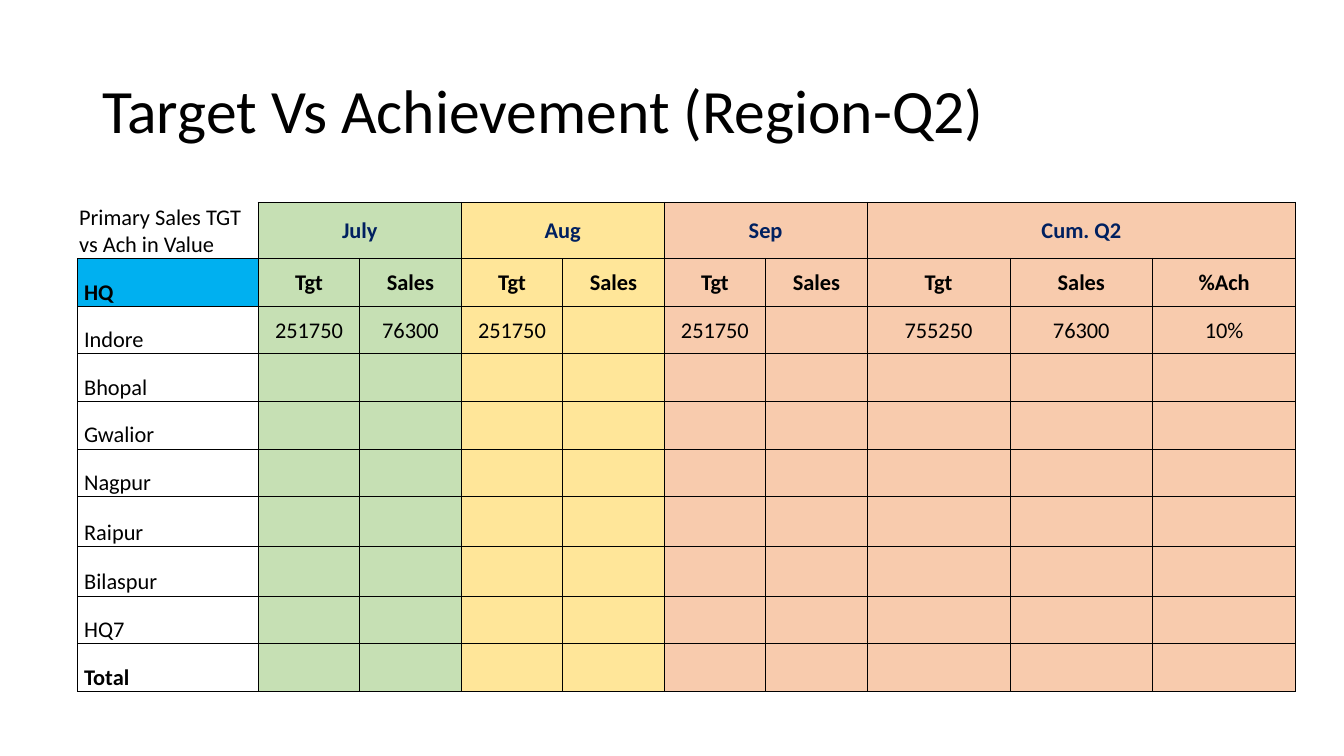
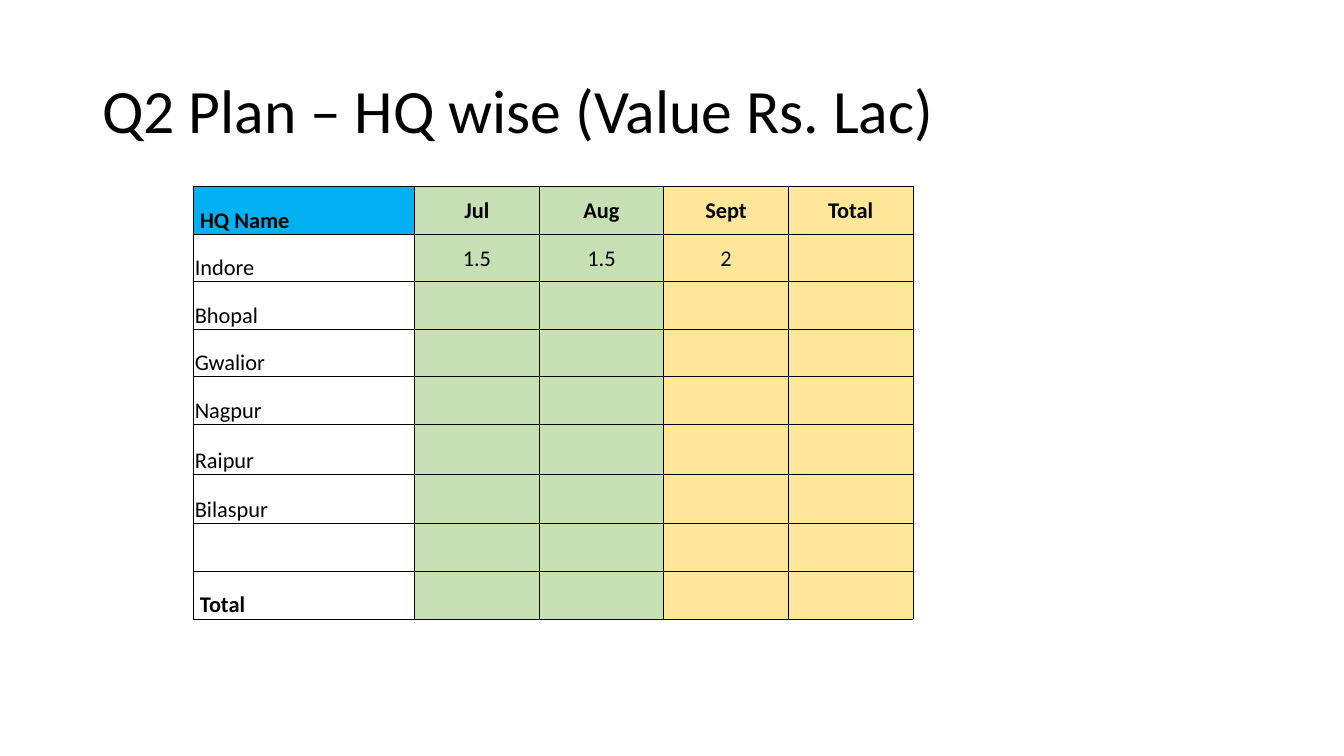
from collections import namedtuple
from dataclasses import dataclass

from lxml.etree import SubElement
from pptx import Presentation
from pptx.dml.color import RGBColor
from pptx.enum.text import MSO_ANCHOR, PP_ALIGN
from pptx.oxml.ns import qn
from pptx.util import Pt


@dataclass(frozen=True)
class Theme:
    font: str = "Calibri"
    title_size: float = 44
    table_size: float = 16
    black: str = "000000"
    navy: str = "002060"
    blue: str = "00B0F0"
    green: str = "C6E0B4"
    yellow: str = "FFE699"
    orange: str = "F8CBAD"
    thin: float = 0.5
    thick: float = 1
    flush: float = 1
    indent: float = 4.6
    row: float = 34
    tall_row: float = 35.5
    wrapped_row: float = 40


THEME = Theme()
Box = namedtuple("Box", "left top width height")
Period = namedtuple("Period", "name fill measures column_width rule_below")

TITLE_BOX = Box(66, 29, 828, 104)
CITIES = ["Indore", "Bhopal", "Gwalior", "Nagpur", "Raipur", "Bilaspur"]
TALL_CITIES = {"Raipur", "Bilaspur"}

PERIODS = [
    Period("July", THEME.green, ["Tgt", "Sales"], 72.5, THEME.thick),
    Period("Aug", THEME.yellow, ["Tgt", "Sales"], 72.5, THEME.thin),
    Period("Sep", THEME.orange, ["Tgt", "Sales"], 72.5, THEME.thick),
    Period("Cum. Q2", THEME.orange, ["Tgt", "Sales", "%Ach"], 102, THEME.thick),
]
INDORE_SALES = ["251750", "76300", "251750", "", "251750", "", "755250", "76300", "10%"]
PLAN_MONTHS = [("Jul", THEME.green), ("Aug", THEME.green),
               ("Sept", THEME.yellow), ("Total", THEME.yellow)]
INDORE_PLAN = ["1.5", "1.5", "2", ""]


def add_text(paragraph, text, size, color=THEME.black, bold=False):
    run = paragraph.add_run()
    run.text = text
    run.font.name = THEME.font
    run.font.size = Pt(size)
    run.font.bold = bold
    run.font.color.rgb = RGBColor.from_string(color)


def add_title(slide, box, text):
    frame = slide.shapes.add_textbox(*map(Pt, box)).text_frame
    frame.word_wrap = True
    frame.vertical_anchor = MSO_ANCHOR.MIDDLE
    paragraph = frame.paragraphs[0]
    paragraph.line_spacing = 0.9
    add_text(paragraph, text, THEME.title_size)


def set_borders(cell, left=THEME.thin, right=THEME.thin, top=THEME.thin, bottom=THEME.thin):
    """Draw each side at its weight in points; zero leaves the side open."""
    properties = cell._tc.get_or_add_tcPr()
    for side, weight in zip("LRTB", (left, right, top, bottom)):
        line = SubElement(properties, qn(f"a:ln{side}"), w=str(int(Pt(weight))))
        if weight:
            fill = SubElement(line, qn("a:solidFill"))
            SubElement(fill, qn("a:srgbClr"), val=THEME.black)
        else:
            SubElement(line, qn("a:noFill"))


def fill_cell(cell, text="", fill=None, bold=False, color=THEME.black,
              label_margin=None, **borders):
    """Style a cell: a label sits bottom left, any other value is centred."""
    is_label = label_margin is not None
    set_borders(cell, **borders)
    if fill:
        cell.fill.solid()
        cell.fill.fore_color.rgb = RGBColor.from_string(fill)
    else:
        cell.fill.background()
    cell.margin_left = Pt(label_margin if is_label else THEME.flush)
    cell.margin_right = cell.margin_top = Pt(THEME.flush)
    cell.margin_bottom = Pt(0)
    cell.vertical_anchor = MSO_ANCHOR.BOTTOM if is_label else MSO_ANCHOR.MIDDLE
    paragraph = cell.text_frame.paragraphs[0]
    paragraph.alignment = PP_ALIGN.LEFT if is_label else PP_ALIGN.CENTER
    if text:
        add_text(paragraph, text, THEME.table_size, color, bold)
    else:
        paragraph.font.size = Pt(THEME.table_size)


def add_grid(slide, left, top, widths, heights):
    box = Box(left, top, sum(widths), sum(heights))
    grid = slide.shapes.add_table(len(heights), len(widths), *map(Pt, box)).table
    grid.first_row = grid.horz_banding = False
    for column, width in zip(grid.columns, widths):
        column.width = Pt(width)
    for row, height in zip(grid.rows, heights):
        row.height = Pt(height)
    return grid


def row_heights(names):
    return [THEME.tall_row if name in TALL_CITIES else THEME.row for name in names]


def fill_body(grid, first_row, names, fills, indore_values, city_margin):
    """Fill one row for each name; only Indore has values."""
    for row, name in enumerate(names, first_row):
        is_total = name == "Total"
        margin = THEME.indent if is_total else city_margin
        fill_cell(grid.cell(row, 0), name, bold=is_total, label_margin=margin)
        values = indore_values if name == "Indore" else [""] * len(fills)
        for column, (value, fill) in enumerate(zip(values, fills), 1):
            fill_cell(grid.cell(row, column), value, fill)


def fill_period_headers(grid):
    column = 1
    for period in PERIODS:
        last = column + len(period.measures) - 1
        grid.cell(0, column).merge(grid.cell(0, last))
        for offset, measure in enumerate(period.measures):
            fill_cell(grid.cell(0, column + offset), "" if offset else period.name,
                      period.fill, True, THEME.navy, left=THEME.thick,
                      right=THEME.thick, top=THEME.thick, bottom=period.rule_below)
            fill_cell(grid.cell(1, column + offset), measure, period.fill, True,
                      top=period.rule_below)
        column = last + 1


def add_achievement_table(slide, left, top):
    names = CITIES + ["HQ7", "Total"]
    widths = [129] + [p.column_width for p in PERIODS for _ in p.measures]
    fills = [p.fill for p in PERIODS for _ in p.measures]
    heights = [THEME.wrapped_row, THEME.row] + row_heights(names)
    grid = add_grid(slide, left, top, widths, heights)
    fill_cell(grid.cell(0, 0), "Primary Sales TGT vs Ach in Value",
              label_margin=THEME.flush, left=0, top=0, right=THEME.thick)
    fill_cell(grid.cell(1, 0), "HQ", THEME.blue, True, label_margin=THEME.indent)
    fill_period_headers(grid)
    fill_body(grid, 2, names, fills, INDORE_SALES, THEME.indent)


def add_plan_table(slide, left, top):
    names = CITIES + ["", "Total"]
    widths = [158] + [89] * len(PLAN_MONTHS)
    grid = add_grid(slide, left, top, widths, [THEME.row] + row_heights(names))
    fill_cell(grid.cell(0, 0), "HQ Name", THEME.blue, True, label_margin=THEME.indent)
    for column, (month, fill) in enumerate(PLAN_MONTHS, 1):
        fill_cell(grid.cell(0, column), month, fill, True)
    fills = [fill for _, fill in PLAN_MONTHS]
    fill_body(grid, 1, names, fills, INDORE_PLAN, THEME.flush)


def main():
    deck = Presentation()
    deck.slide_width, deck.slide_height = Pt(960), Pt(540)
    blank = deck.slide_layouts[6]

    achievement = deck.slides.add_slide(blank)
    add_title(achievement, TITLE_BOX, "Target Vs Achievement (Region-Q2)")
    add_achievement_table(achievement, 55.5, 144.7)

    plan = deck.slides.add_slide(blank)
    add_title(plan, TITLE_BOX, "Q2 Plan – HQ wise (Value Rs. Lac)")
    add_plan_table(plan, 138.2, 133.2)

    deck.save("out.pptx")


if __name__ == "__main__":
    main()
